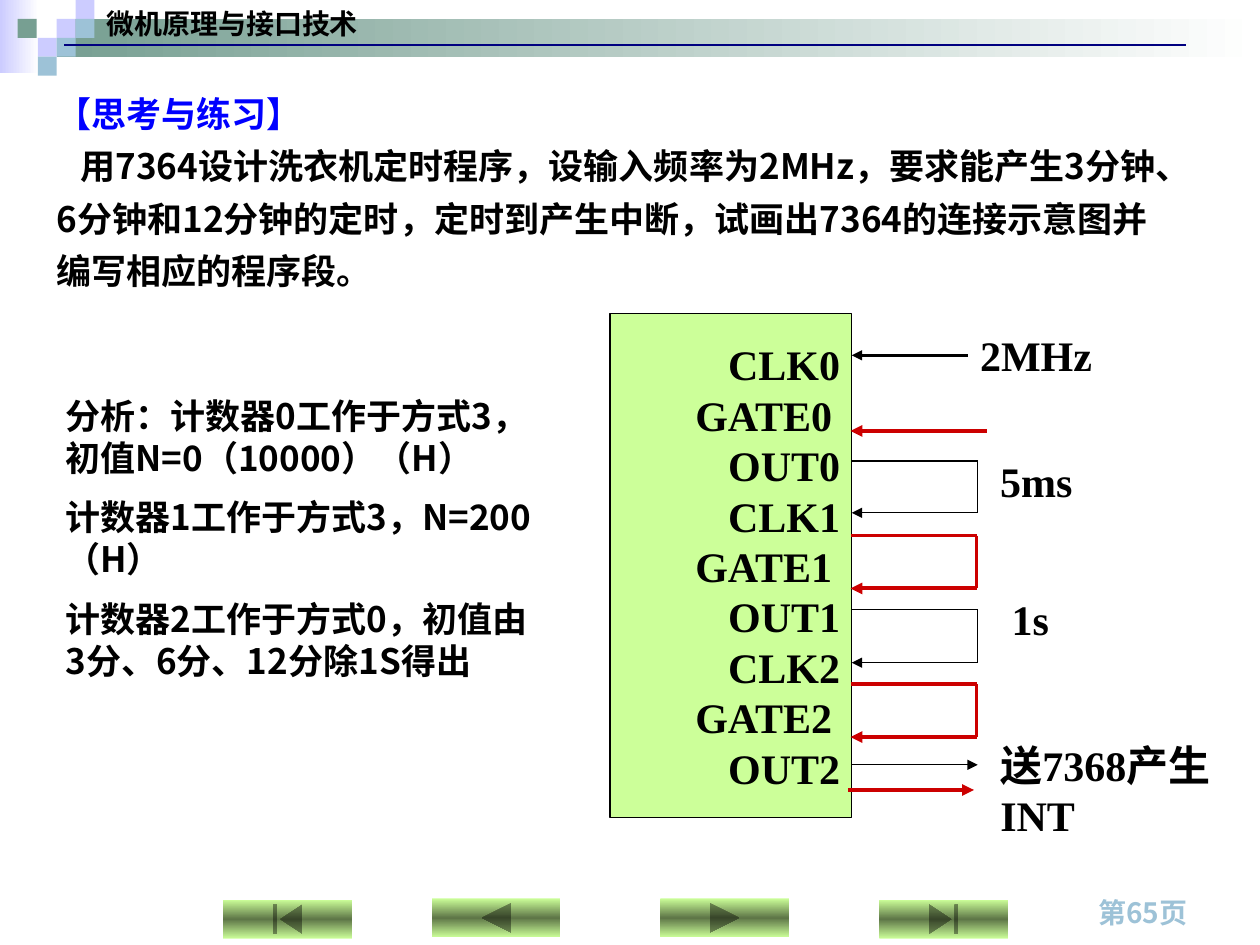
from lxml.etree import SubElement
from pptx import Presentation
from pptx.dml.color import RGBColor
from pptx.enum.shapes import MSO_CONNECTOR, MSO_SHAPE
from pptx.enum.text import MSO_ANCHOR, PP_ALIGN
from pptx.oxml.ns import qn
from pptx.util import Pt

SCALE = 9144
COLORS = {
    "black": "000000", "white": "FFFFFF", "blue": "0000FF", "navy": "000080",
    "red": "CC0000", "lavender": "CCCCFF", "sage": "779F92", "sky": "9DC2D7",
    "lime": "CCFF99", "olive": "5E7647",
}
SANS = "Noto Sans CJK SC"
SERIF = "Times New Roman"

presentation = Presentation()
presentation.slide_width = 1000 * SCALE
presentation.slide_height = 750 * SCALE
slide = presentation.slides.add_slide(presentation.slide_layouts[6])


def write_text(shape, lines, size, font, color="black", spacing=1.2):
    text_frame = shape.text_frame
    text_frame.word_wrap = True
    text_frame.text = "\n".join(lines)
    for paragraph in text_frame.paragraphs:
        paragraph.alignment = PP_ALIGN.LEFT
        paragraph.line_spacing = Pt(size * spacing)
        for run in paragraph.runs:
            run.font.size = Pt(size)
            run.font.bold = True
            run.font.name = font
            run.font.color.rgb = RGBColor.from_string(COLORS[color])
            SubElement(run.font._element, qn("a:ea")).set("typeface", SANS)
    return text_frame.paragraphs


def add_line(start, end, color, width, arrow=False):
    points = [value * SCALE for value in (*start, *end)]
    connector = slide.shapes.add_connector(MSO_CONNECTOR.STRAIGHT, *points)
    connector.line.width = Pt(width)
    connector.line.color.rgb = RGBColor.from_string(COLORS[color])
    if arrow:
        SubElement(connector.line._get_or_add_ln(), qn("a:tailEnd")).set("type", "triangle")
    SubElement(connector._element.spPr, qn("a:effectLst"))


button_colors = ("lime", "olive", "lime")
gradient_shapes = [
    (MSO_SHAPE.RECTANGLE, (0, 0, 31, 58), ("lavender", "white"), 0),
    (MSO_SHAPE.RECTANGLE, (45, 15, 955, 30), ("sage", "white"), 0),
    (MSO_SHAPE.ACTION_BUTTON_BEGINNING, (177, 714, 103, 31), button_colors, 90),
    (MSO_SHAPE.ACTION_BUTTON_BACK_OR_PREVIOUS, (343, 713, 102, 31), button_colors, 90),
    (MSO_SHAPE.ACTION_BUTTON_FORWARD_OR_NEXT, (524, 713, 102, 31), button_colors, 90),
    (MSO_SHAPE.ACTION_BUTTON_END, (698, 714, 102, 31), button_colors, 90),
]
for kind, box, names, angle in gradient_shapes:
    shape = slide.shapes.add_shape(kind, *[value * SCALE for value in box])
    shape.shadow.inherit = False
    shape.line.fill.background()
    shape.fill.gradient()
    shape.fill.gradient_angle = angle
    stop_list = shape._element.spPr.find(qn("a:gradFill")).find(qn("a:gsLst"))
    for stop in list(stop_list):
        stop_list.remove(stop)
    for index, name in enumerate(names):
        stop = SubElement(stop_list, qn("a:gs"))
        stop.set("pos", str(100000 * index // (len(names) - 1)))
        SubElement(stop, qn("a:srgbClr")).set("val", COLORS[name])

squares = [
    (45, 15, "lavender"), (60, 0, "lavender"), (60, 15, "sky"), (30, 30, "lavender"),
    (14, 15, "sage"), (45, 30, "sky"), (30, 45, "sky"),
]
for left, top, color in squares:
    square = slide.shapes.add_shape(
        MSO_SHAPE.RECTANGLE, left * SCALE, top * SCALE, 15 * SCALE, 15 * SCALE)
    square.shadow.inherit = False
    square.line.fill.background()
    square.fill.solid()
    square.fill.fore_color.rgb = RGBColor.from_string(COLORS[color])

add_line((51, 36), (941, 36), "navy", 1.25)

labels = [
    ((75, 0, 866, 37), "微机原理与接口技术", 16, SANS, "black"),
    ((862, 706, 126, 37), "第65页", 16, SANS, "sky"),
    ((768, 257, 117, 50), "2MHz", 24, SERIF, "black"),
    ((784, 357, 183, 50), "5ms", 24, SERIF, "black"),
    ((793, 466, 133, 50), "1s", 24, SERIF, "black"),
    ((784, 582, 208, 90), "送7368产生INT", 24, SERIF, "black"),
]
for box, text, size, font, color in labels:
    label = slide.shapes.add_textbox(*[value * SCALE for value in box])
    write_text(label, [text], size, font, color)

exercise = slide.shapes.add_textbox(35 * SCALE, 60 * SCALE, 908 * SCALE, 177 * SCALE)
heading, question = write_text(exercise, [
    "【思考与练习】",
    "用7364设计洗衣机定时程序，设输入频率为2MHz，要求能产生3分钟、6分钟和12分钟的定时，"
    "定时到产生中断，试画出7364的连接示意图并编写相应的程序段。",
], 20, SANS, spacing=1.5)
heading.runs[0].font.color.rgb = RGBColor.from_string(COLORS["blue"])
question._p.get_or_add_pPr().set("indent", str(19 * SCALE))

analysis = slide.shapes.add_textbox(42 * SCALE, 308 * SCALE, 392 * SCALE, 243 * SCALE)
steps = write_text(analysis, [
    "分析：计数器0工作于方式3，初值N=0（10000）（H）",
    "计数器1工作于方式3，N=200（H）",
    "计数器2工作于方式0，初值由3分、6分、12分除1S得出",
], 20, SANS)
for step in steps[1:]:
    step.space_before = Pt(10)

chip = slide.shapes.add_shape(
    MSO_SHAPE.RECTANGLE, 484 * SCALE, 249 * SCALE, 192 * SCALE, 400 * SCALE)
chip.shadow.inherit = False
chip.fill.solid()
chip.fill.fore_color.rgb = RGBColor.from_string(COLORS["lime"])
chip.line.color.rgb = RGBColor.from_string(COLORS["black"])
chip.line.width = Pt(0.75)
chip.text_frame.vertical_anchor = MSO_ANCHOR.MIDDLE
chip.text_frame.margin_right = 0
pins = [f"{name}{counter}" for counter in range(3) for name in ("CLK", "GATE", "OUT")]
for pin, paragraph in zip(pins, write_text(chip, pins, 24, SERIF)):
    indent = 58 if pin.startswith("GATE") else 84
    paragraph._p.get_or_add_pPr().set("marL", str(indent * SCALE))

add_line((768, 282), (676, 282), "black", 1.5, True)
add_line((676, 607), (776, 607), "black", 0.75, True)
add_line((783, 342), (675, 342), "red", 2.25, True)
add_line((673, 627), (773, 627), "red", 2.25, True)

loops = [
    (676, 366, 407, "black", 0.75), (676, 484, 526, "black", 0.75),
    (675, 425, 467, "red", 2.25), (675, 543, 585, "red", 2.25),
]
for left, top, bottom, color, width in loops:
    right = left + 100
    add_line((left, top), (right, top), color, width)
    add_line((right, top), (right, bottom), color, width)
    add_line((right, bottom), (left, bottom), color, width, True)

presentation.save("out.pptx")
